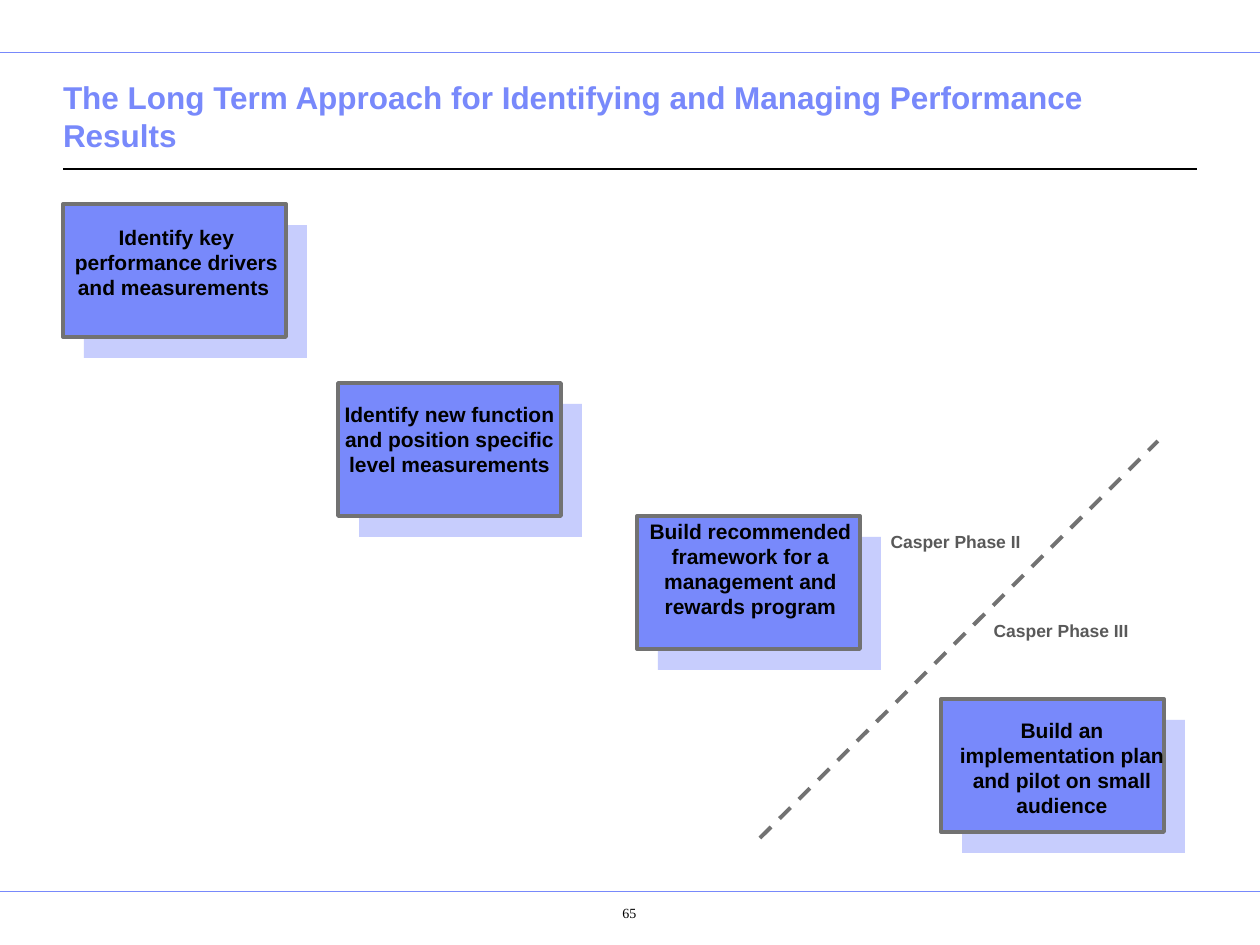
from lxml import etree
from pptx import Presentation
from pptx import util as u
from pptx.dml.color import RGBColor
from pptx.enum import dml, shapes, text
from pptx.oxml import ns

COLORS = {
    "accent": "7889FB",
    "shade": "C7CDFD",
    "border": "727272",
    "label": "595959",
    "ink": "000000",
}
PX_PER_INCH = 126
CARD_SIZE = (223, 133)


def px(value):
    return u.Emu(round(value * 914400 / PX_PER_INCH))


class SlideBuilder:
    heading = {"size": u.Pt(18), "bold": True, "name": "Arial"}
    card_font = {"size": u.Pt(12), "bold": True, "name": "Arial"}
    label_font = {"size": u.Pt(10), "bold": True, "name": "Arial"}
    number_font = {"size": u.Pt(8), "bold": False, "name": "Times New Roman"}

    def __init__(self, slide):
        self.slide = slide

    def fill_text(self, shape, words, style, color,
                  align=text.PP_ALIGN.CENTER, **frame_values):
        frame = shape.text_frame
        values = {
            "word_wrap": True,
            "auto_size": text.MSO_AUTO_SIZE.NONE,
            "vertical_anchor": text.MSO_ANCHOR.TOP,
            **frame_values,
        }
        for name, value in values.items():
            setattr(frame, name, value)
        paragraph = frame.paragraphs[0]
        paragraph.alignment = align
        run = paragraph.add_run()
        run.text = words
        for name, value in style.items():
            setattr(run.font, name, value)
        run.font.color.rgb = RGBColor.from_string(COLORS[color])

    def title(self, words, box):
        shape = self.slide.shapes.title
        for name, value in zip(("left", "top", "width", "height"), box):
            setattr(shape, name, px(value))
        self.fill_text(shape, words, self.heading, "accent",
                       text.PP_ALIGN.LEFT,
                       vertical_anchor=text.MSO_ANCHOR.BOTTOM,
                       margin_left=0, margin_right=0)

    def text_box(self, words, box, style, color, **frame_values):
        shape = self.slide.shapes.add_textbox(*map(px, box))
        self.fill_text(shape, words, style, color, **frame_values)

    def rectangle(self, box, fill, border=None):
        shape = self.slide.shapes.add_shape(
            shapes.MSO_SHAPE.RECTANGLE, *map(px, box))
        shape.shadow.inherit = False
        shape.fill.solid()
        shape.fill.fore_color.rgb = RGBColor.from_string(COLORS[fill])
        if border:
            shape.line.color.rgb = RGBColor.from_string(COLORS[border])
            shape.line.width = u.Pt(2.25)
        else:
            shape.line.fill.background()

    def line(self, start, end, color, width, dash=None):
        connector = self.slide.shapes.add_connector(
            shapes.MSO_CONNECTOR.STRAIGHT, *map(px, (*start, *end)))
        connector.line.color.rgb = RGBColor.from_string(COLORS[color])
        connector.line.width = u.Pt(width)
        if dash:
            connector.line.dash_style = dash
        etree.SubElement(connector._element.spPr, ns.qn("a:effectLst"))


def main():
    presentation = Presentation()
    presentation.slide_width = px(1260)
    presentation.slide_height = px(945)
    slide = presentation.slides.add_slide(presentation.slide_layouts[5])
    builder = SlideBuilder(slide)

    for y in (52, 891):
        builder.line((0, y), (1260, y), "accent", 0.5)
    builder.line((63, 169), (1197, 169), "ink", 0.75)
    builder.title(
        "The Long Term Approach for Identifying and Managing Performance Results",
        (63, 81, 1134, 79))

    steps = [
        ((63, 204), (52, 218, 249, 88),
         "Identify key performance drivers and measurements "),
        ((338, 383), (325, 395, 249, 88),
         "Identify new function and position specific level measurements"),
        ((637, 516), (626, 512, 249, 113),
         "Build recommended framework for a management and rewards program"),
        ((941, 699), (945, 711, 234, 113),
         "Build an implementation plan and pilot on small audience"),
    ]
    for (left, top), words_box, words in steps:
        builder.rectangle((left + 21, top + 21, *CARD_SIZE), "shade")
        builder.rectangle((left, top, *CARD_SIZE), "accent", "border")
        builder.text_box(words, words_box, builder.card_font, "ink")

    builder.line((760, 838), (1158, 441), "border", 2.25,
                 dml.MSO_LINE.DASH)
    for words, box in (
        ("Casper Phase II", (878, 525, 155, 34)),
        ("Casper Phase III", (981, 614, 160, 34)),
    ):
        builder.text_box(words, box, builder.label_font, "label",
                         word_wrap=False)
    builder.text_box("65", (538, 896, 145, 44), builder.number_font, "ink",
                     margin_left=px(50), margin_top=px(9))

    presentation.save("out.pptx")


if __name__ == "__main__":
    main()
